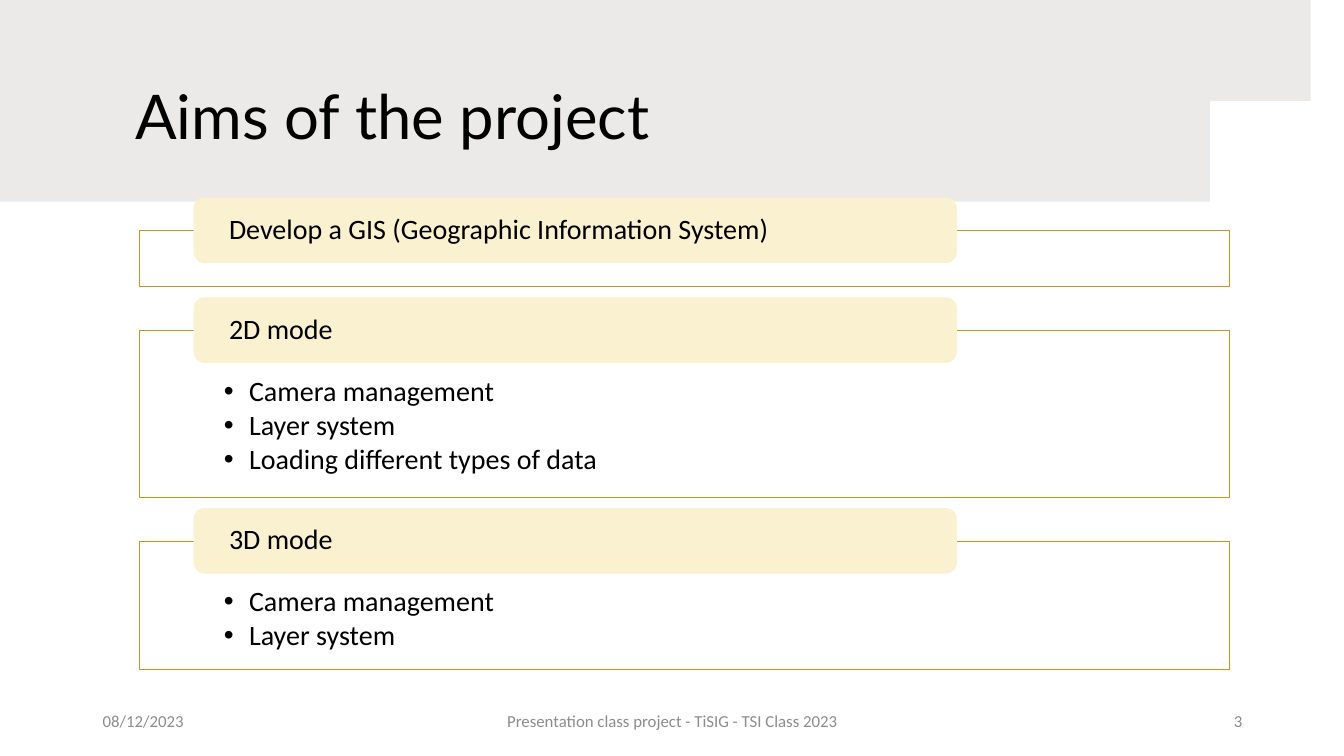
from lxml import etree
from pptx import Presentation
from pptx.dml.color import RGBColor
from pptx.enum.shapes import MSO_SHAPE
from pptx.enum.text import MSO_ANCHOR, MSO_AUTO_SIZE, PP_ALIGN
from pptx.oxml.ns import qn
from pptx.util import Inches, Pt

LEFT, CENTER, RIGHT = PP_ALIGN.LEFT, PP_ALIGN.CENTER, PP_ALIGN.RIGHT
MIDDLE, TOP = MSO_ANCHOR.MIDDLE, MSO_ANCHOR.TOP
RECT, ROUNDED = MSO_SHAPE.RECTANGLE, MSO_SHAPE.ROUNDED_RECTANGLE

TITLE = "Aims of the project"
# heading, panel height, points
AIMS = [
    ("Develop a GIS (Geographic Information System)", 0.55, []),
    ("2D mode", 1.65, ["Camera management", "Layer system",
                       "Loading different types of data"]),
    ("3D mode", 1.27, ["Camera management", "Layer system"]),
]
# text, left, width, alignment
FOOTER = [
    ("08/12/2023", 0.92, 3, LEFT),
    ("Presentation class project - TiSIG - TSI Class 2023", 4.42, 4.5, CENTER),
    ("3", 9.42, 3, RIGHT),
]
COLORS = {"paper": "82766A", "panel": "FFFFFF", "border": "C79125",
          "tab": "F9F1D0", "text": "000000", "footer": "8C8C8C"}

SLIDE_W, SLIDE_H = 13.33, 7.5
PANEL_LEFT, PANEL_W, FIRST_TOP, PANEL_GAP = 1.38, 10.81, 2.29, 0.44
TAB_LEFT, TAB_W, TAB_H, TAB_RISE = 1.92, 7.57, 0.65, 0.33

# Torn lower edge of the header, from right to left
TORN_EDGE = [
    (13.33, 1.27), (13.29, 1.27), (13.12, 1.26), (12.98, 1.29), (12.82, 1.32),
    (12.7, 1.33), (12.63, 1.36), (12.52, 1.34), (12.43, 1.35), (12.29, 1.39),
    (12.18, 1.41), (12.05, 1.48), (11.93, 1.5), (11.84, 1.54), (11.69, 1.56),
    (11.62, 1.58), (11.5, 1.62), (11.45, 1.63), (11.36, 1.65), (11.3, 1.66),
    (11.05, 1.72), (10.84, 1.79), (10.69, 1.85), (10.61, 1.89), (10.46, 1.9),
    (10.39, 1.92), (10.31, 1.93), (10.12, 1.97), (9.95, 1.98), (9.74, 2),
    (9.58, 2.03), (9.31, 2.04), (9.13, 2.04), (8.99, 2.06), (8.82, 2.1),
    (8.69, 2.1), (8.47, 2.14), (8.32, 2.16), (8.15, 2.14), (7.79, 2.14),
    (7.59, 2.16), (7.47, 2.16), (7.35, 2.19), (7.18, 2.2), (7.07, 2.23),
    (6.91, 2.23), (6.74, 2.24), (6.65, 2.28), (6.56, 2.26), (6.36, 2.27),
    (6.18, 2.24), (6.1, 2.21), (5.98, 2.21), (5.84, 2.23), (5.72, 2.21),
    (5.5, 2.22), (5.36, 2.22), (5.2, 2.21), (5, 2.21), (4.87, 2.19),
    (4.77, 2.17), (4.64, 2.15), (4.52, 2.14), (4.34, 2.11), (4.12, 2.09),
    (4.02, 2.06), (3.86, 2.06), (3.7, 2.04), (3.53, 2.03), (3.11, 2.09),
    (2.98, 2.09), (2.81, 2.12), (2.54, 2.12), (2.38, 2.11), (2.22, 2.08),
    (2.05, 2.06), (1.93, 2.03), (1.85, 1.99), (1.64, 1.97), (1.52, 1.92),
    (1.44, 1.89), (1.28, 1.89), (1.14, 1.88), (0.96, 1.87), (0.81, 1.86),
    (0.69, 1.85), (0.58, 1.84), (0.46, 1.82), (0.39, 1.81), (0.28, 1.79),
    (0.16, 1.78), (0.03, 1.78), (0, 1.77),
]


def paint(shape, fill, opacity=100, border=None):
    shape.fill.solid()
    shape.fill.fore_color.rgb = RGBColor.from_string(COLORS[fill])
    if opacity < 100:
        color = shape.fill._xPr.find(".//" + qn("a:srgbClr"))
        etree.SubElement(color, qn("a:alpha"), val=str(opacity * 1000))
    if border:
        shape.line.color.rgb = RGBColor.from_string(COLORS[border])
        shape.line.width = Pt(0.5)
    else:
        shape.line.fill.background()


def place(shape, left, top, width, height):
    shape.left, shape.top = Inches(left), Inches(top)
    shape.width, shape.height = Inches(width), Inches(height)


def write(shape, lines, size, font="Calibri", color="text", align=LEFT,
          anchor=MIDDLE, insets=(0.1, 0.05, 0.1, 0.05), spacing=0.9, after=0,
          bullets=False):
    frame = shape.text_frame
    frame.word_wrap, frame.auto_size = True, MSO_AUTO_SIZE.NONE
    frame.vertical_anchor = anchor
    (frame.margin_left, frame.margin_top,
     frame.margin_right, frame.margin_bottom) = map(Inches, insets)
    frame.text = "\n".join(lines)
    for paragraph in frame.paragraphs:
        if bullets:
            properties = paragraph._p.get_or_add_pPr()
            properties.set("marL", str(Inches(0.25)))
            properties.set("indent", str(Inches(-0.25)))
            etree.SubElement(properties, qn("a:buChar"), char="•")
        paragraph.alignment = align
        paragraph.line_spacing = spacing
        paragraph.space_before, paragraph.space_after = Pt(0), Pt(after)
        paragraph.font.name, paragraph.font.size = font, Pt(size)
        paragraph.font.color.rgb = RGBColor.from_string(COLORS[color])


def add_header(slide):
    outline = slide.shapes.build_freeform(0, 0, scale=Inches(1))
    outline.add_line_segments([(SLIDE_W, 0)] + TORN_EDGE, close=True)
    header = outline.convert_to_shape()
    header.shadow.inherit = False
    paint(header, "paper", opacity=15)
    slide.shapes._spTree.insert(2, header._element)  # behind the title


def add_aims(slide):
    lists = iter(list(slide.placeholders)[1:])
    top = FIRST_TOP
    for heading, height, points in AIMS:
        if points:
            panel = next(lists)
            place(panel, PANEL_LEFT, top, PANEL_W, height)
            write(panel, points, 20, anchor=TOP, after=2.7, bullets=True,
                  insets=(0.84, 0.46, 0.84, 0.16))
        else:
            panel = slide.shapes.add_shape(
                RECT, *map(Inches, (PANEL_LEFT, top, PANEL_W, height)))
            panel.shadow.inherit = False
        paint(panel, "panel", opacity=90, border="border")

        tab = slide.shapes.add_shape(
            ROUNDED, *map(Inches, (TAB_LEFT, top - TAB_RISE, TAB_W, TAB_H)))
        tab.shadow.inherit = False
        paint(tab, "tab")
        write(tab, [heading], 20, insets=(0.32, 0, 0.32, 0))
        top += height + PANEL_GAP


def main():
    deck = Presentation()
    deck.slide_width, deck.slide_height = Inches(SLIDE_W), Inches(SLIDE_H)
    slide = deck.slides.add_slide(deck.slide_layouts.get_by_name("Two Content"))

    add_header(slide)
    place(slide.shapes.title, 1.24, 0.53, 10.93, 1.32)
    write(slide.shapes.title, [TITLE], 44, font="Lato")
    add_aims(slide)
    for text, left, width, align in FOOTER:
        box = slide.shapes.add_textbox(*map(Inches, (left, 6.95, width, 0.4)))
        write(box, [text], 12, color="footer", align=align, spacing=1)

    deck.save("out.pptx")


if __name__ == "__main__":
    main()
